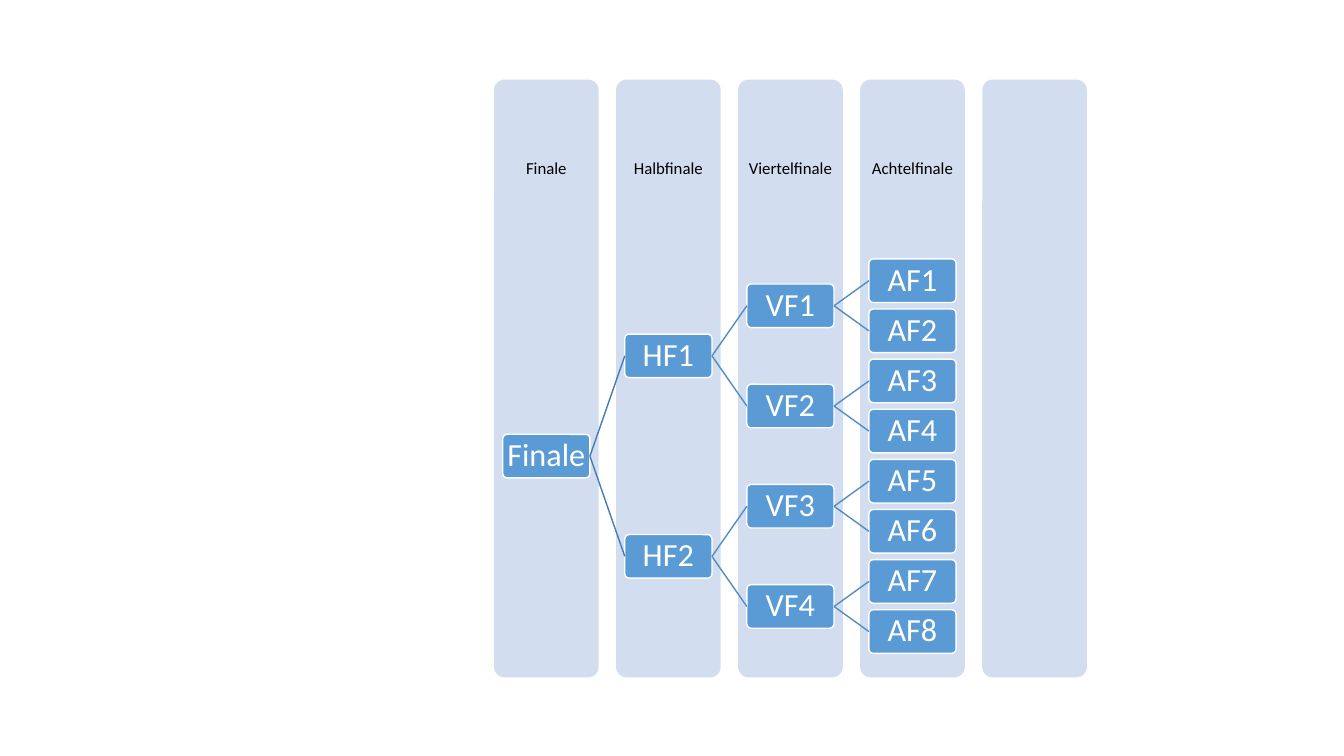
from lxml.etree import SubElement
from pptx import Presentation
from pptx.dml.color import RGBColor
from pptx.enum.shapes import MSO_CONNECTOR, MSO_SHAPE
from pptx.enum.text import MSO_ANCHOR, PP_ALIGN
from pptx.oxml.ns import qn
from pptx.util import Inches, Pt

ROUNDS = [
    ("Finale", ["Finale"]),
    ("Halbfinale", ["HF1", "HF2"]),
    ("Viertelfinale", ["VF1", "VF2", "VF3", "VF4"]),
    ("Achtelfinale", ["AF1", "AF2", "AF3", "AF4", "AF5", "AF6", "AF7", "AF8"]),
    ("", []),
]
LINE_COLORS = ["497CAB", "538DC1", "538DC1"]
COLUMN_WIDTH, COLUMN_PITCH, NODE_INSET = 1.2, 1.4, 0.1
NODE_HEIGHT, ROW_PITCH = 0.5, 1.15
HEADER_SHARE = 0.3


def color(hex_code):
    return RGBColor.from_string(hex_code)


def write(sp, text, size, hex_code, inset):
    tf = sp.text_frame
    tf.word_wrap = True
    tf.vertical_anchor = MSO_ANCHOR.MIDDLE
    tf.margin_left = tf.margin_right = Inches(inset)
    tf.margin_top = tf.margin_bottom = Inches(inset)
    p = tf.paragraphs[0]
    p.text = text
    p.alignment = PP_ALIGN.CENTER
    p.line_spacing = 0.9
    p.font.name = "Calibri"
    p.font.size = Pt(size)
    p.font.color.rgb = color(hex_code)


def add_panel(s, x, y, w, h, fill, line=None):
    sp = s.shapes.add_shape(MSO_SHAPE.ROUNDED_RECTANGLE, Inches(x), Inches(y), Inches(w), Inches(h))
    sp.adjustments[0] = 0.1
    sp.shadow.inherit = False
    sp.fill.solid()
    sp.fill.fore_color.rgb = color(fill)
    if line:
        sp.line.color.rgb = color(line)
        sp.line.width = Pt(1)
    else:
        sp.line.fill.background()
    return sp


def add_round_column(s, x, y, w, h, label):
    add_panel(s, x, y, w, h, "D2DEEF")
    if label:
        header = s.shapes.add_textbox(Inches(x), Inches(y), Inches(w), Inches(h * HEADER_SHARE))
        write(header, label, 12, "000000", 0.09)


def add_link(s, parent, child, hex_code):
    link = s.shapes.add_connector(MSO_CONNECTOR.STRAIGHT, 0, 0, 0, 0)
    link.begin_connect(parent, 3)
    link.end_connect(child, 1)
    link.line.color.rgb = color(hex_code)
    link.line.width = Pt(1)
    SubElement(link._element.spPr, qn("a:effectLst"))


def add_matches(s, x, y, unit):
    leaf_count = max(len(names) for _, names in ROUNDS)
    parents = []
    for level, (_, names) in enumerate(ROUNDS):
        span = leaf_count / max(len(names), 1)
        matches = []
        for i, name in enumerate(names):
            row = i * span + (span - 1) / 2
            match = add_panel(s, x + (level * COLUMN_PITCH + NODE_INSET) * unit,
                              y + row * ROW_PITCH * NODE_HEIGHT * unit,
                              unit, NODE_HEIGHT * unit, "5B9BD5", "FFFFFF")
            write(match, name, 23, "FFFFFF", 0.03)
            if parents:
                add_link(s, parents[i // 2], match, LINE_COLORS[level - 1])
            matches.append(match)
        parents = matches


def add_bracket(s, x, y, w, h):
    unit = w / ((len(ROUNDS) - 1) * COLUMN_PITCH + COLUMN_WIDTH)
    for i, (label, _) in enumerate(ROUNDS):
        add_round_column(s, x + i * COLUMN_PITCH * unit, y, COLUMN_WIDTH * unit, h, label)
    add_matches(s, x, y + h * HEADER_SHARE, unit)


def main():
    prs = Presentation()
    prs.slide_width = Inches(13.33)
    prs.slide_height = Inches(7.5)
    s = prs.slides.add_slide(prs.slide_layouts[6])
    add_bracket(s, 4.9, 0.79, 5.88, 5.93)
    prs.save("out.pptx")


if __name__ == "__main__":
    main()
